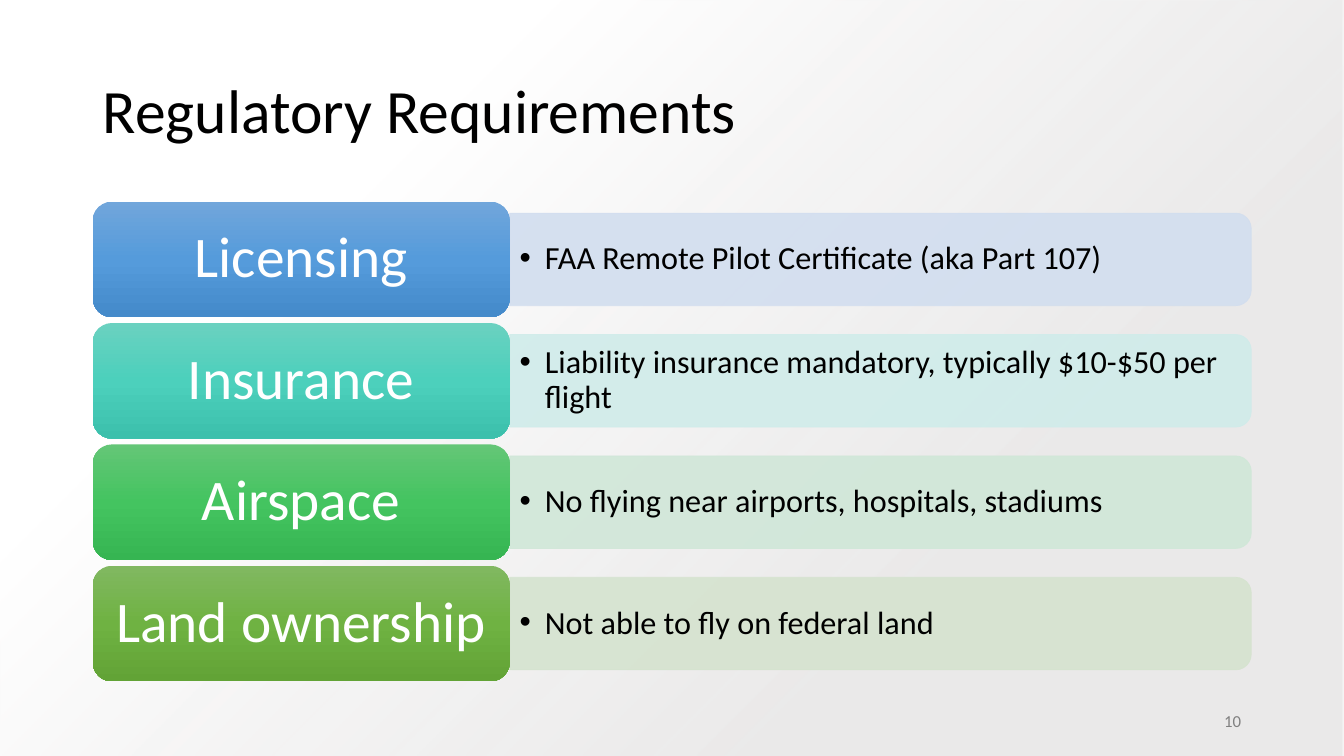
from lxml import etree
from pptx import Presentation, util as u
from pptx.dml.color import RGBColor
from pptx.enum import shapes, text
from pptx.oxml import parse_xml
from pptx.oxml.ns import nsdecls, qn

W, H = 13.33, 7.5
FONT = "Calibri"
BLACK = RGBColor(0x00, 0x00, 0x00)
WHITE = RGBColor(0xFF, 0xFF, 0xFF)
GREY = RGBColor(0x80, 0x80, 0x80)
MIST = RGBColor(0xE7, 0xE6, 0xE6)

# label, rule, bar colour, label gradient from top to bottom
REQUIREMENTS = [
    ("Licensing", "FAA Remote Pilot Certificate (aka Part 107)",
     RGBColor(0xD2, 0xDE, 0xEF),
     (RGBColor(0x71, 0xA6, 0xDB), RGBColor(0x55, 0x9B, 0xDB), RGBColor(0x44, 0x8A, 0xCA))),
    ("Insurance", "Liability insurance mandatory, typically $10-$50 per flight",
     RGBColor(0xD0, 0xEC, 0xEA),
     (RGBColor(0x6A, 0xD1, 0xC0), RGBColor(0x4C, 0xD0, 0xBC), RGBColor(0x3C, 0xC0, 0xAC))),
    ("Airspace", "No flying near airports, hospitals, stadiums",
     RGBColor(0xD0, 0xE7, 0xD8),
     (RGBColor(0x64, 0xC6, 0x77), RGBColor(0x44, 0xC4, 0x60), RGBColor(0x36, 0xB5, 0x52))),
    ("Land ownership", "Not able to fly on federal land",
     RGBColor(0xD5, 0xE3, 0xCF),
     (RGBColor(0x81, 0xB8, 0x61), RGBColor(0x6F, 0xB2, 0x42), RGBColor(0x62, 0xA3, 0x36))),
]


def inches(*lengths):
    return [u.Inches(v) for v in lengths]


def set_alpha(color, percent):
    etree.SubElement(color, qn("a:alpha"), val=str(percent * 1000))


def add_shape(slide, kind, box):
    sp = slide.shapes.add_shape(kind, *inches(*box))
    sp.shadow.inherit = False
    sp.line.fill.background()
    return sp


def fill_gradient(sp, stops, direction):
    """Fill with (position, colour, opacity) stops; direction is a lin or path element."""
    sp.fill.gradient()
    grad = sp._element.spPr.find(qn("a:gradFill"))
    for child in list(grad):
        grad.remove(child)
    stop_list = etree.SubElement(grad, qn("a:gsLst"))
    for position, color, opacity in stops:
        stop = etree.SubElement(stop_list, qn("a:gs"), pos=str(position * 1000))
        rgb = etree.SubElement(stop, qn("a:srgbClr"), val=str(color))
        if opacity < 100:
            set_alpha(rgb, opacity)
    grad.append(parse_xml(direction))


def write(sp, words, size, color, align, insets=(0.1, 0.05), spacing=0.9):
    tf = sp.text_frame
    tf.word_wrap = True
    tf.auto_size = text.MSO_AUTO_SIZE.NONE
    tf.vertical_anchor = text.MSO_ANCHOR.MIDDLE
    tf.margin_left = tf.margin_right = u.Inches(insets[0])
    tf.margin_top = tf.margin_bottom = u.Inches(insets[1])
    p = tf.paragraphs[0]
    p.alignment = align
    p.line_spacing = spacing
    r = p.add_run()
    r.text = words
    r.font.name, r.font.size, r.font.color.rgb = FONT, u.Pt(size), color
    return p


def add_bullet(p, indent):
    pPr = p._p.get_or_add_pPr()
    pPr.set("marL", str(u.Inches(indent)))
    pPr.set("indent", str(-u.Inches(indent)))
    etree.SubElement(pPr, qn("a:buFont"), typeface="Arial")
    etree.SubElement(pPr, qn("a:buChar"), char="•")


def draw_backdrop(slide):
    sp = add_shape(slide, shapes.MSO_SHAPE.RECTANGLE, (0, 0, W, H))
    fill_gradient(sp, [(28, MIST, 84), (74, WHITE, 100)],
                  f'<a:path {nsdecls("a")} path="circle">'
                  '<a:fillToRect l="100000" t="100000"/></a:path>')
    slide.shapes._spTree.insert(2, sp._element)


def draw_title(slide, box, words):
    title = slide.shapes.title
    title.left, title.top, title.width, title.height = inches(*box)
    write(title, words, 44, BLACK, text.PP_ALIGN.LEFT)


def draw_requirement(slide, box, requirement):
    label, rule, bar_color, shades = requirement
    x, y, w, h = box
    label_w = 0.36 * w
    bar_x, bar_w, bar_h = x + label_w, w - label_w, 0.8 * h

    # Turned a quarter so that the two rounded corners face right
    bar = add_shape(slide, shapes.MSO_SHAPE.ROUND_2_SAME_RECTANGLE,
                    (bar_x + (bar_w - bar_h) / 2, y + (h - bar_w) / 2, bar_h, bar_w))
    bar.rotation = 90
    bar.fill.solid()
    bar.fill.fore_color.rgb = bar_color
    bar.line.color.rgb = bar_color
    bar.line.width = u.Pt(0.5)
    for color in bar._element.spPr.iter(qn("a:srgbClr")):
        set_alpha(color, 90)

    rule_h = 0.72 * h
    rule_box = slide.shapes.add_textbox(*inches(bar_x, y + (h - rule_h) / 2, bar_w, rule_h))
    add_bullet(write(rule_box, rule, 23, BLACK, text.PP_ALIGN.LEFT), 0.25)

    tile = add_shape(slide, shapes.MSO_SHAPE.ROUNDED_RECTANGLE, (x, y, label_w, h))
    fill_gradient(tile, [(i * 50, shade, 100) for i, shade in enumerate(shades)],
                  f'<a:lin {nsdecls("a")} ang="5400000" scaled="0"/>')
    write(tile, label, 41, WHITE, text.PP_ALIGN.CENTER, (0.17, 0.09))


def draw_requirements(slide, box):
    x, y, w, h = box
    gap = 0.05  # share of a row's height
    row_h = h / (len(REQUIREMENTS) + gap * (len(REQUIREMENTS) - 1))
    for i, requirement in enumerate(REQUIREMENTS):
        draw_requirement(slide, (x, y + i * row_h * (1 + gap), w, row_h), requirement)


def draw_page_number(slide, box, number):
    sp = slide.shapes.add_textbox(*inches(*box))
    write(sp, number, 12, GREY, text.PP_ALIGN.RIGHT, spacing=1.0)


def main():
    prs = Presentation()
    prs.slide_width, prs.slide_height = inches(W, H)
    slide = prs.slides.add_slide(prs.slide_layouts[5])
    margin = 0.92
    content_w = W - 2 * margin
    draw_backdrop(slide)
    draw_title(slide, (margin, 0.4, content_w, 1.45), "Regulatory Requirements")
    draw_requirements(slide, (margin, 2, content_w, 4.76))
    draw_page_number(slide, (W - margin - 3, 6.95, 3, 0.4), "10")
    prs.save("out.pptx")


if __name__ == "__main__":
    main()
